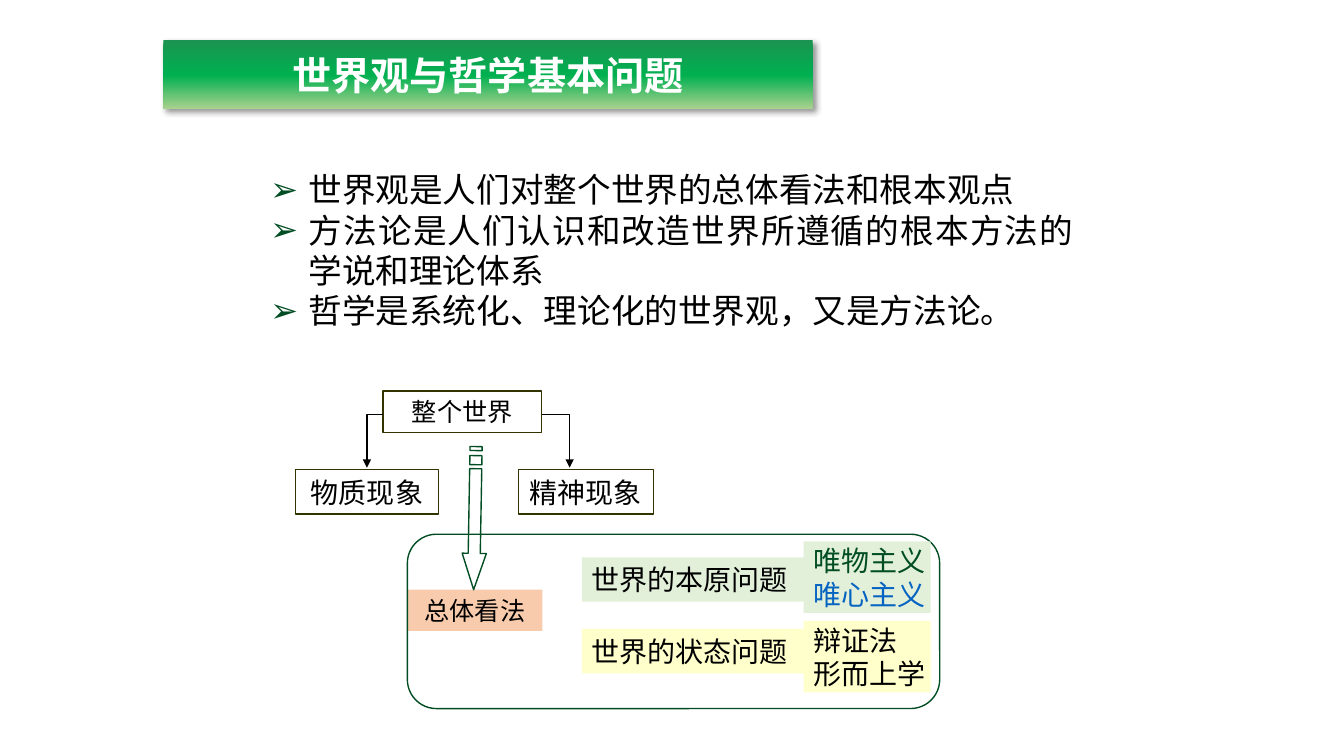
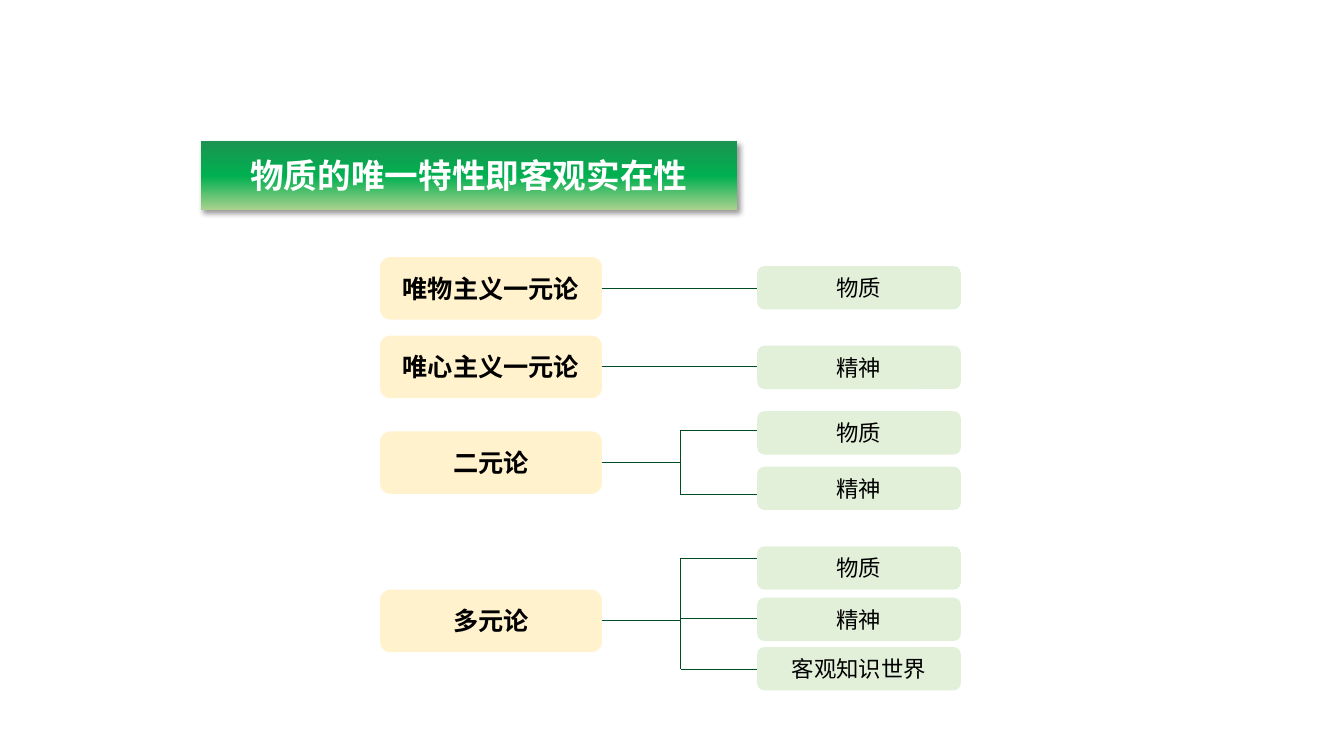
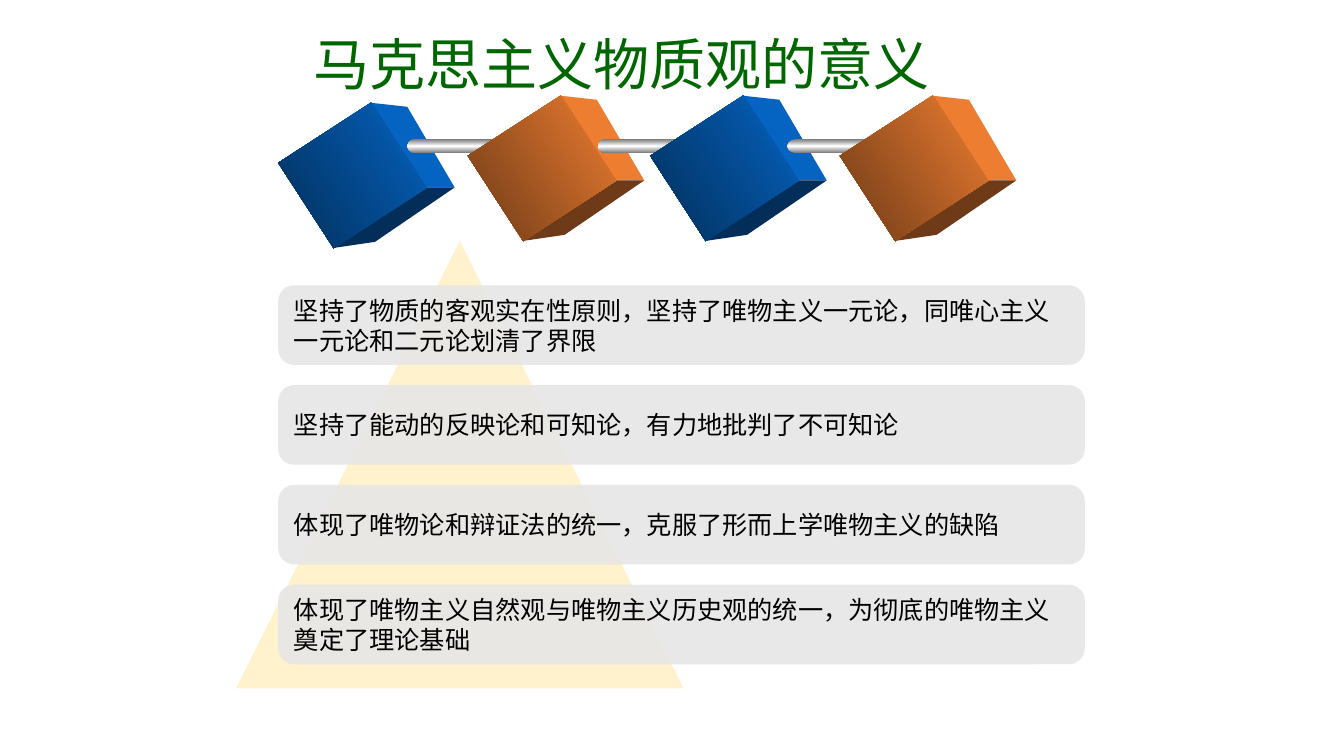
from lxml import etree
from pptx import Presentation
from pptx import util as u
from pptx.dml.color import RGBColor
from pptx.enum import shapes, text
from pptx.oxml.ns import qn


class Theme:
    cjk, latin = "Noto Sans CJK SC", "Arial"
    band, heading, small_heading = 28, 40, 24
    body, large, normal, small = 24, 20, 18, 16
    white, black = "FFFFFF", "000000"
    green, title_green, blue, olive = "014D23", "006600", "0563C1", "333300"
    mint, lemon, peach, cream, grey = "E2F0D9", "FFFFCC", "F8CBAD", "FFF2CC", "E7E6E6"
    band_fill = [(0, "1B9451"), (51, "00B050"), (100, "A9D18E")]
    rod_fill = [(0, "767676"), (50, "FFFFFF"), (100, "767676")]
    cubes = [("0563C1", "022E59"), ("ED7D31", "6E3A17")]


T = Theme
SHAPE = shapes.MSO_SHAPE
LINE = shapes.MSO_CONNECTOR
ALIGN = text.PP_ALIGN


def style(sp, fill=None, line=None):
    """Fill with a colour, a list of (percent, colour) stops running down, or nothing."""
    if isinstance(fill, list):
        sp.fill.gradient()
        sp.fill.gradient_angle = 270
        stops = sp._element.spPr.find(".//" + qn("a:gsLst"))
        stops[:] = []
        for pos, color in fill:
            gs = etree.SubElement(stops, qn("a:gs"), pos=str(pos * 1000))
            etree.SubElement(gs, qn("a:srgbClr"), val=color)
    elif fill:
        sp.fill.solid()
        sp.fill.fore_color.rgb = RGBColor.from_string(fill)
    else:
        sp.fill.background()
    if line:
        sp.line.color.rgb = RGBColor.from_string(line)
        sp.line.width = u.Pt(1)
    else:
        sp.line.fill.background()
    sp.shadow.inherit = False
    return sp


def write(sp, paragraphs, size, align=ALIGN.CENTER, font=T.cjk, bold=False,
          wrap=True, inset=0.1, bullet=None):
    """Write (words, colour) pairs, one paragraph each."""
    tf = sp.text_frame
    tf.word_wrap = wrap
    tf.auto_size = text.MSO_AUTO_SIZE.NONE
    tf.vertical_anchor = text.MSO_ANCHOR.MIDDLE
    tf.margin_left = tf.margin_right = u.Inches(inset)
    tf.margin_top = tf.margin_bottom = u.Inches(0.05)
    for i, (words, color) in enumerate(paragraphs):
        p = tf.add_paragraph() if i else tf.paragraphs[0]
        p.alignment = align
        p.space_before = u.Pt(0)
        p.line_spacing = u.Pt(size * 1.2)
        if bullet:
            pPr = p._p.get_or_add_pPr()
            pPr.set("marL", str(u.Inches(0.38)))
            pPr.set("indent", str(-u.Inches(0.38)))
            bu_color = etree.SubElement(pPr, qn("a:buClr"))
            etree.SubElement(bu_color, qn("a:srgbClr"), val=T.green)
            etree.SubElement(pPr, qn("a:buChar"), char=bullet)
        r = p.add_run()
        r.text = words
        r.font.size = u.Pt(size)
        r.font.bold = bold
        r.font.color.rgb = RGBColor.from_string(color)
        r.font.name = font
        rPr = r._r.get_or_add_rPr()
        rPr.set("lang", "zh-CN")
        etree.SubElement(rPr, qn("a:ea"), typeface=T.cjk)


prs = Presentation()
prs.slide_width, prs.slide_height = u.Inches(13.33), u.Inches(7.5)
world, matter, meaning = [prs.slides.add_slide(prs.slide_layouts[i]) for i in (1, 5, 5)]

# Title bands of the first two slides
for s, words, size, at in [
    (world, "世界观与哲学基本问题", T.band, (1.62, 0.4, 6.44, 0.68)),
    (matter, "物质的唯一特性即客观实在性", T.small_heading, (1.99, 1.4, 5.32, 0.68)),
]:
    title = s.shapes.title
    title.left, title.top, title.width, title.height = map(u.Inches, at)
    spPr = title._element.spPr
    geom = etree.Element(qn("a:prstGeom"), prst="roundRect")
    etree.SubElement(geom, qn("a:avLst"))
    spPr.insert(1, geom)
    style(title, T.band_fill)
    shadow = etree.SubElement(spPr.find(qn("a:effectLst")), qn("a:outerShdw"),
                              blurRad=str(u.Pt(4)), dist=str(u.Pt(3)), dir="2700000",
                              algn="tl", rotWithShape="0")
    shade = etree.SubElement(shadow, qn("a:srgbClr"), val=T.black)
    etree.SubElement(shade, qn("a:alpha"), val="40000")
    write(title, [(words, T.white)], size, bold=True)

# Slide 1: world view
s = world
points = s.placeholders[1]
points.left, points.top, points.width, points.height = map(u.Inches, (2.58, 1.62, 8.17, 1.72))
write(points, [
    ("世界观是人们对整个世界的总体看法和根本观点", T.black),
    ("方法论是人们认识和改造世界所遵循的根本方法的学说和理论体系", T.black),
    ("哲学是系统化、理论化的世界观，又是方法论。", T.black),
], T.body, ALIGN.JUSTIFY, T.latin, bullet="➢")

for words, at, fill, line, size, align, font in [
    ("物质现象", (2.93, 4.66, 1.42, 0.44), None, T.olive, T.large, ALIGN.CENTER, T.cjk),
    ("世界的状态问题", (5.77, 6.24, 2.28, 0.44), T.lemon, None, T.large, ALIGN.LEFT, T.cjk),
    ("世界的本原问题", (5.77, 5.53, 2.28, 0.44), T.mint, None, T.large, ALIGN.LEFT, T.latin),
    ("总体看法", (4.04, 5.85, 1.34, 0.41), T.peach, None, T.normal, ALIGN.CENTER, T.cjk),
    ("整个世界", (3.8, 3.88, 1.57, 0.41), None, T.olive, T.normal, ALIGN.CENTER, T.cjk),
    ("精神现象", (5.14, 4.66, 1.34, 0.44), None, T.olive, T.large, ALIGN.CENTER, T.cjk),
]:
    sp = style(s.shapes.add_shape(SHAPE.RECTANGLE, *map(u.Inches, at)), fill, line)
    write(sp, [(words, T.black)], size, align, font)

for start, end in [(3.8, 3.64), (5.38, 5.65)]:
    cx = s.shapes.add_connector(LINE.ELBOW, *map(u.Inches, (start, 4.11, end, 4.64)))
    cx._element.spPr.find(qn("a:prstGeom")).set("prst", "bentConnector2")
    cx.line.color.rgb = RGBColor.from_string(T.black)
    cx.line.width = u.Pt(1)
    etree.SubElement(cx.line._get_or_add_ln(), qn("a:tailEnd"), type="triangle")

frame = s.shapes.add_shape(SHAPE.FLOWCHART_ALTERNATE_PROCESS,
                           *map(u.Inches, (4.04, 5.3, 5.28, 1.73)))
style(frame, line=T.green)

arrow = [(4.77, 4.65), (4.77, 5.49), (4.83, 5.49), (4.71, 5.85),
         (4.59, 5.49), (4.65, 5.49), (4.65, 4.65)]
stripes = [[(4.65, top), (4.77, top), (4.77, bottom), (4.65, bottom)]
           for top, bottom in [(4.52, 4.61), (4.43, 4.47)]]
fb = s.shapes.build_freeform(*map(u.Inches, arrow[0]))
fb.add_line_segments([tuple(map(u.Inches, pt)) for pt in arrow[1:]])
for stripe in stripes:
    fb.move_to(*map(u.Inches, stripe[0]))
    fb.add_line_segments([tuple(map(u.Inches, pt)) for pt in stripe[1:]])
sp = style(fb.convert_to_shape(), line=T.green)
sp.rotation = 1

for top, fill, stances in [
    (5.37, T.mint, [("唯物主义", T.green), ("唯心主义", T.blue)]),
    (6.16, T.lemon, [("辩证法", T.black), ("形而上学", T.black)]),
]:
    sp = s.shapes.add_shape(SHAPE.RECTANGLE, *map(u.Inches, (7.97, top, 1.26, 0.71)))
    write(style(sp, fill), stances, T.large, ALIGN.LEFT, T.latin, wrap=False)

# Slide 2: each theory with its leaves as (words, top, line height)
s = matter
stem_x, trunk_x, leaf_x = 5.97, 6.75, 7.51
for theory, top, leaves in [
    ("唯物主义一元论", 2.55, [("物质", 2.64, 2.86)]),
    ("唯心主义一元论", 3.33, [("精神", 3.43, 3.64)]),
    ("二元论", 4.28, [("物质", 4.08, 4.27), ("精神", 4.63, 4.91)]),
    ("多元论", 5.85, [("物质", 5.42, 5.54), ("精神", 5.93, 6.14),
                   ("客观知识世界", 6.42, 6.64)]),
]:
    sp = s.shapes.add_shape(SHAPE.ROUNDED_RECTANGLE, *map(u.Inches, (3.77, top, 2.2, 0.62)))
    write(style(sp, T.cream), [(theory, T.black)], T.normal, bold=True)
    middle = top + 0.31
    lines = [(stem_x, middle, trunk_x, middle)]
    if len(leaves) > 1:
        lines.append((trunk_x, leaves[0][2], trunk_x, leaves[-1][2]))
    for words, leaf_top, y in leaves:
        sp = s.shapes.add_shape(SHAPE.ROUNDED_RECTANGLE,
                                *map(u.Inches, (leaf_x, leaf_top, 2.02, 0.43)))
        write(style(sp, T.mint), [(words, T.black)], T.small)
        lines.append((trunk_x, y, leaf_x, y))
    for ends in lines:
        cx = s.shapes.add_connector(LINE.STRAIGHT, *map(u.Inches, ends))
        cx.line.color.rgb = RGBColor.from_string(T.green)
        cx.line.width = u.Pt(0.75)

# Slide 3: meaning of the materialist view
s = meaning
title = s.shapes.title
title.left, title.top, title.width, title.height = map(u.Inches, (3.01, 0.24, 6.31, 0.77))
write(title, [("马克思主义物质观的意义", T.title_green)], T.heading, ALIGN.LEFT,
      T.latin, wrap=False)

style(s.shapes.add_shape(SHAPE.ISOSCELES_TRIANGLE,
                         *map(u.Inches, (2.34, 2.39, 4.44, 4.44))), T.cream)
for i, words in enumerate([
    "坚持了物质的客观实在性原则，坚持了唯物主义一元论，同唯心主义一元论和二元论划清了界限",
    "坚持了能动的反映论和可知论，有力地批判了不可知论",
    "体现了唯物论和辩证法的统一，克服了形而上学唯物主义的缺陷",
    "体现了唯物主义自然观与唯物主义历史观的统一，为彻底的唯物主义奠定了理论基础",
]):
    card = s.shapes.add_shape(SHAPE.ROUNDED_RECTANGLE,
                              *map(u.Inches, (2.76, 2.83 + 0.99 * i, 8, 0.79)))
    card.adjustments[0] = 0.2
    style(card, T.grey)
    color = card._element.spPr.find(qn("a:solidFill"))[0]
    etree.SubElement(color, qn("a:alpha"), val="90000")
    write(card, [(words, T.black)], T.normal, ALIGN.LEFT, inset=0.11)

# Cubes on a rod; the side faces are offsets from the corner of the front face
right_face = [(0.69, -0.17), (1.05, -0.13), (1.52, 0.67), (1.23, 0.67)]
bottom_face = [(0.32, 1.27), (1.23, 0.67), (1.52, 0.67), (0.73, 1.21)]
cubes = [(2.99, 1.19), (4.87, 1.12), (6.68, 1.12), (8.56, 1.12)]
rods = [(4.04, 0.17, 0.85), (5.93, 0.17, 0.85), (7.81, 0.23, 1.11), None]
for i, ((left, top), rod) in enumerate(zip(cubes, rods)):
    bright, dark = T.cubes[i % 2]
    for face, fill in [(right_face, bright), (bottom_face, dark)]:
        corners = [(u.Inches(left + x), u.Inches(top + y)) for x, y in face]
        fb = s.shapes.build_freeform(*corners[0])
        fb.add_line_segments(corners[1:])
        style(fb.convert_to_shape(), fill)
    front = s.shapes.add_shape(SHAPE.RECTANGLE, *map(u.Inches, (left, top, 1.01, 1.1)))
    style(front, [(0, bright), (100, dark)]).rotation = 57
    if rod:
        rod_left, cap, length = rod
        for kind, x, width in [(SHAPE.OVAL, rod_left, cap),
                               (SHAPE.RECTANGLE, rod_left + cap / 2, length)]:
            sp = s.shapes.add_shape(kind, *map(u.Inches, (x, 1.38, width, 0.14)))
            style(sp, T.rod_fill)

for s in prs.slides:
    for cx in s.shapes:
        if cx._element.tag == qn("p:cxnSp"):
            etree.SubElement(cx._element.spPr, qn("a:effectLst"))

prs.save("out.pptx")
